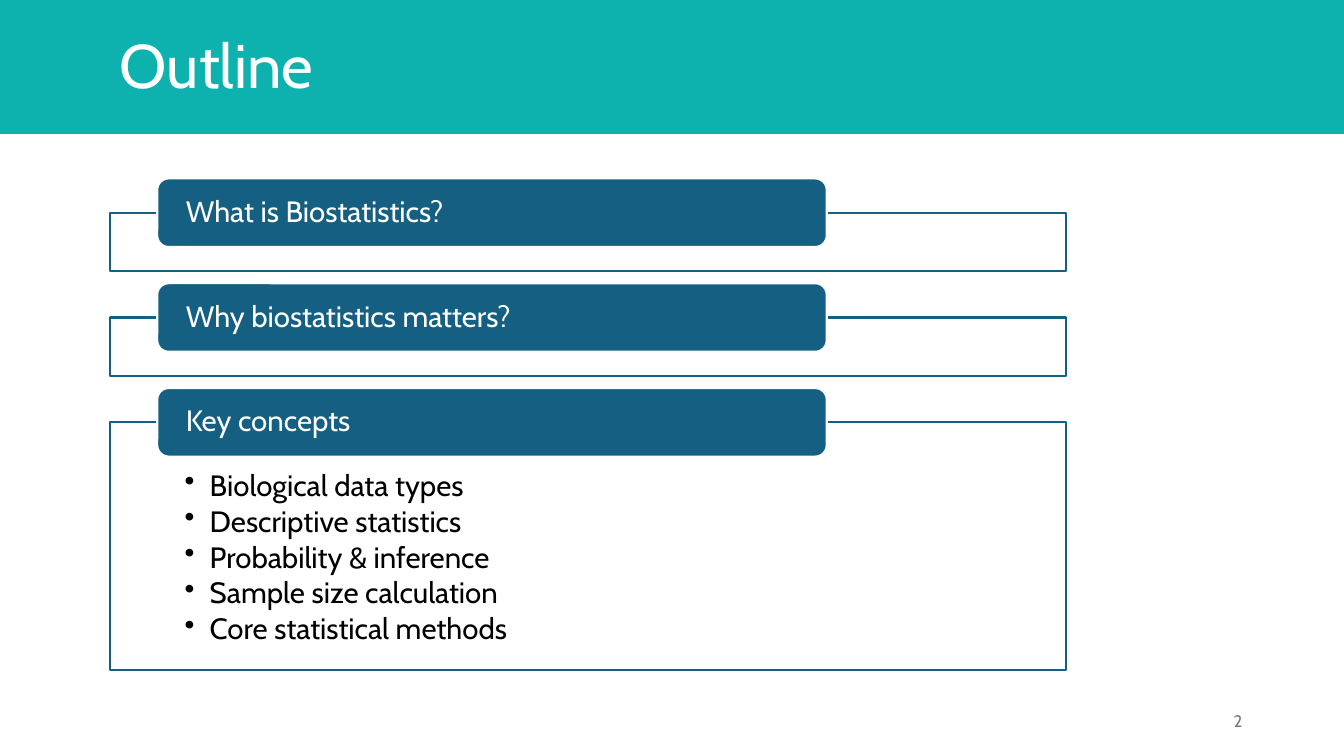
from dataclasses import dataclass

import pptx
import pptx.dml.color
import pptx.enum.shapes
import pptx.enum.text
import pptx.oxml.ns
import pptx.util
from lxml import etree

Inches = pptx.util.Inches
Pt = pptx.util.Pt
SHAPE = pptx.enum.shapes.MSO_SHAPE
ALIGN = pptx.enum.text.PP_ALIGN
ANCHOR = pptx.enum.text.MSO_ANCHOR

FONT = "Cabin"
COLORS = {
    "teal": "0DB2AE",
    "navy": "156082",
    "white": "FFFFFF",
    "black": "000000",
    "gray": "797979",
}
FIRST_FRAME_TOP = 2.11
SECTION_PITCH = 1.04
TAB_RISE = 0.34


@dataclass
class Section:
    heading: str
    frame_height: float = 0.58
    bullets: tuple[str, ...] = ()


@dataclass
class TextStyle:
    size: float
    color: str
    line_spacing: float = 0.9
    space_after: float = 0
    align: ALIGN = ALIGN.LEFT
    anchor: ANCHOR = ANCHOR.MIDDLE
    insets: tuple[float, float, float, float] = (0.1, 0.05, 0.1, 0.05)
    bullet: bool = False


TITLE = TextStyle(44, "white")
HEADING = TextStyle(21, "white", insets=(0.25, 0, 0.25, 0))
BULLETS = TextStyle(21, "black", space_after=3, anchor=ANCHOR.TOP,
                    insets=(0.74, 0.48, 0.74, 0.16), bullet=True)
PAGE_NUMBER = TextStyle(12, "gray", line_spacing=1, align=ALIGN.RIGHT)

SECTIONS = [
    Section("What is Biostatistics?"),
    Section("Why biostatistics matters?"),
    Section("Key concepts", 2.46, (
        "Biological data types",
        "Descriptive statistics",
        "Probability & inference",
        "Sample size calculation",
        "Core statistical methods",
    )),
]


def rgb(name: str) -> pptx.dml.color.RGBColor:
    return pptx.dml.color.RGBColor.from_string(COLORS[name])


def add_bullet(p) -> None:
    """Give the paragraph a round bullet with a hanging indent."""
    pPr = p._p.get_or_add_pPr()
    pPr.set("marL", str(Inches(0.25)))
    pPr.set("indent", str(-Inches(0.25)))
    etree.SubElement(pPr, pptx.oxml.ns.qn("a:buChar")).set("char", "•")


def write(sp, lines: tuple[str, ...], style: TextStyle) -> None:
    """Fill the shape with one paragraph per line in the given style."""
    tf = sp.text_frame
    tf.word_wrap = True
    tf.vertical_anchor = style.anchor
    (tf.margin_left, tf.margin_top,
     tf.margin_right, tf.margin_bottom) = map(Inches, style.insets)
    tf.text = "\n".join(lines)
    for p in tf.paragraphs:
        if style.bullet:
            add_bullet(p)
        p.alignment = style.align
        p.line_spacing = style.line_spacing
        p.space_after = Pt(style.space_after)
        for r in p.runs:
            r.font.name = FONT
            r.font.size = Pt(style.size)
            r.font.color.rgb = rgb(style.color)


def add_box(s, kind: SHAPE, left: float, top: float, width: float,
            height: float, fill: str, line: str):
    sp = s.shapes.add_shape(kind, *map(Inches, (left, top, width, height)))
    sp.shadow.inherit = False
    sp.fill.solid()
    sp.fill.fore_color.rgb = rgb(fill)
    sp.line.color.rgb = rgb(line)
    sp.line.width = Pt(1.5)
    return sp


def add_text(s, left: float, top: float, width: float, height: float,
             text: str, style: TextStyle) -> None:
    sp = s.shapes.add_textbox(*map(Inches, (left, top, width, height)))
    write(sp, (text,), style)


def add_section(s, section: Section, top: float) -> None:
    """Draw the outlined frame with its heading tab over the top edge."""
    frame = add_box(s, SHAPE.RECTANGLE, 1.09, top, 9.48,
                    section.frame_height, "white", "navy")
    if section.bullets:
        write(frame, section.bullets, BULLETS)
    tab = add_box(s, SHAPE.ROUNDED_RECTANGLE, 1.56, top - TAB_RISE, 6.64,
                  2 * TAB_RISE, "navy", "white")
    write(tab, (section.heading,), HEADING)


def main() -> None:
    prs = pptx.Presentation()
    prs.slide_width = Inches(13.33)
    prs.slide_height = Inches(7.5)
    s = prs.slides.add_slide(prs.slide_layouts[6])

    for i, section in enumerate(SECTIONS):
        add_section(s, section, FIRST_FRAME_TOP + i * SECTION_PITCH)
    add_text(s, 9.42, 6.95, 3, 0.4, "2", PAGE_NUMBER)
    add_box(s, SHAPE.RECTANGLE, 0, 0, 13.33, 1.32, "teal", "teal")
    add_text(s, 1.09, -0.05, 11.5, 1.45, "Outline", TITLE)

    prs.save("out.pptx")


if __name__ == "__main__":
    main()
